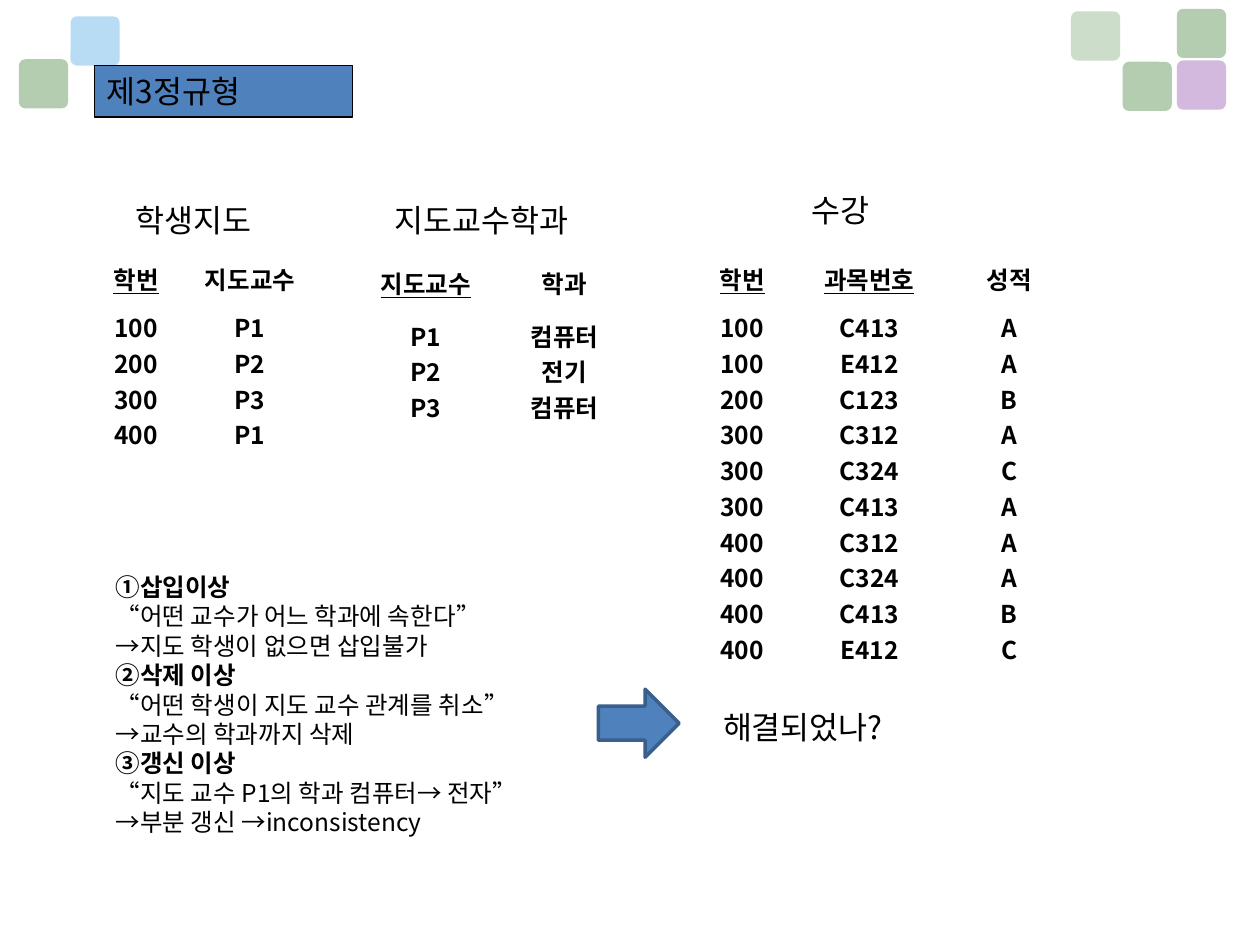
"""Build the third normal form slide with its three relations and anomaly notes."""
import pptx
import pptx.dml.color
import pptx.enum.shapes
import pptx.enum.text
import pptx.oxml.ns
import pptx.util
import lxml.etree

Inches = pptx.util.Inches
Pt = pptx.util.Pt
RGB = pptx.dml.color.RGBColor.from_string
Kind = pptx.enum.shapes.MSO_SHAPE
Text = pptx.enum.text
qn = pptx.oxml.ns.qn

THEME = {
    "font": "Noto Sans CJK KR", "quote": "Arial",
    "ink": "000000", "blue": "4F81BD", "edge": "3A5F8C",
    "green": "9BBD98", "sky": "A1D1F1", "lilac": "C4A2D2",
    "head": 18, "body": 14, "lead": 1.2,
}


def write(para, words, size, name=THEME["font"], **extra):
    run = para.add_run()
    run.text = words
    style = {"size": Pt(size), "name": name, "bold": False, **extra}
    for key, value in style.items():
        setattr(run.font, key, value)
    run.font.color.rgb = RGB(THEME["ink"])
    east = lxml.etree.SubElement(run.font._element, qn("a:ea"))
    east.set("typeface", THEME["font"])


def paint(shape, fill, line=None, width=0):
    shape.shadow.inherit = False
    shape.fill.solid()
    shape.fill.fore_color.rgb = RGB(fill)
    if line:
        shape.line.color.rgb = RGB(line)
        shape.line.width = Pt(width)
    else:
        shape.line.fill.background()


deck = pptx.Presentation()
deck.slide_width, deck.slide_height = Inches(10), Inches(7.5)
slide = deck.slides.add_slide(deck.slide_layouts[6])
shapes = slide.shapes

tiles = [
    (9.34, 0.48, "lilac", 75), (9.34, 0.07, "green", 75),
    (8.91, 0.49, "green", 75), (8.5, 0.09, "green", 51),
    (0.56, 0.13, "sky", 75), (0.15, 0.47, "green", 75),
]
for left, top, tone, solid in tiles:
    tile = shapes.add_shape(Kind.ROUNDED_RECTANGLE, Inches(left), Inches(top),
                            Inches(0.39), Inches(0.39))
    tile.adjustments[0] = 0.13
    paint(tile, THEME[tone])
    color = tile._element.spPr.find(qn("a:solidFill"))[0]
    lxml.etree.SubElement(color, qn("a:alpha")).set("val", str(solid * 1000))

tables = [
    (0.75, [0.66, 1.15], [0.35, 0.72], 1,
     {"학번": "100 200 300 400", "지도교수": "P1 P2 P3 P1"}),
    (2.87, [1.02, 1.18], [0.45, 0.82], 1,
     {"지도교수": "P1 P2 P3", "학과": "컴퓨터 전기 컴퓨터"}),
    (5.39, [1, 1.02, 1.2], [0.31, 2.14], 2,
     {"학번": "100 100 200 300 300 300 400 400 400 400",
      "과목번호": "C413 E412 C123 C312 C324 C413 C312 C324 C413 E412",
      "성적": "A A B A C A A A B C"}),
]
for left, widths, heights, keys, data in tables:
    grid = shapes.add_table(2, len(widths), Inches(left), Inches(2.02),
                            Inches(sum(widths)), Inches(sum(heights))).table
    grid.first_row = grid.horz_banding = False
    for row, height in zip(grid.rows, heights):
        row.height = Inches(height)
    for col, (title, values) in enumerate(data.items()):
        grid.columns[col].width = Inches(widths[col])
        for row, lines in enumerate([[title], values.split()]):
            cell = grid.cell(row, col)
            cell.fill.background()
            cell.vertical_anchor = Text.MSO_ANCHOR.MIDDLE
            frame = cell.text_frame
            for at, words in enumerate(lines):
                para = frame.add_paragraph() if at else frame.paragraphs[0]
                para.alignment = Text.PP_ALIGN.CENTER
                inset = para._p.get_or_add_pPr()
                inset.set("marL", str(Inches(0.38)))
                inset.set("indent", str(Inches(-0.38)))
                write(para, words, THEME["body"], bold=True,
                      underline=row == 0 and col < keys)

notes = [
    "①삽입이상", "“어떤 교수가 어느 학과에 속한다”", "→지도 학생이 없으면 삽입불가",
    "②삭제 이상", "“어떤 학생이 지도 교수 관계를 취소”", "→교수의 학과까지 삭제",
    "③갱신 이상", "“지도 교수 P1의 학과 컴퓨터→ 전자”", "→부분 갱신 →inconsistency",
]
boxes = [
    (0.75, 0.52, 2.05, 0.41, "head", ["제3정규형"]),
    (0.98, 1.55, 1.73, 0.4, "head", ["학생지도"]),
    (3.03, 1.55, 1.73, 0.4, "head", ["지도교수학과"]),
    (6.34, 1.47, 1.65, 0.4, "head", ["수강"]),
    (0.82, 4.49, 3.86, 2.22, "body", notes),
    (5.64, 5.57, 1.67, 0.4, "head", ["해결되었나?"]),
]
for rank, (left, top, width, height, role, lines) in enumerate(boxes):
    place = [Inches(n) for n in (left, top, width, height)]
    if rank == 0:
        box = shapes.add_shape(Kind.RECTANGLE, *place)
        paint(box, THEME["blue"], THEME["ink"], 0.75)
    else:
        box = shapes.add_textbox(*place)
    frame = box.text_frame
    layout = {"word_wrap": True, "vertical_anchor": Text.MSO_ANCHOR.TOP,
              "auto_size": Text.MSO_AUTO_SIZE.SHAPE_TO_FIT_TEXT}
    for key, value in layout.items():
        setattr(frame, key, value)
    size = THEME[role]
    for at, words in enumerate(lines):
        para = frame.add_paragraph() if at else frame.paragraphs[0]
        para.alignment = Text.PP_ALIGN.LEFT
        para.line_spacing = Pt(size * THEME["lead"])
        if words[0] == "“":
            write(para, "“", size, THEME["quote"])
            write(para, words[1:-1], size)
            write(para, "”", size, THEME["quote"])
        else:
            write(para, words, size, bold=words[0] in "①②③")

arrow = shapes.add_shape(Kind.RIGHT_ARROW, Inches(4.75), Inches(5.47),
                         Inches(0.64), Inches(0.54))
paint(arrow, THEME["blue"], THEME["edge"], 2)

deck.save("out.pptx")
